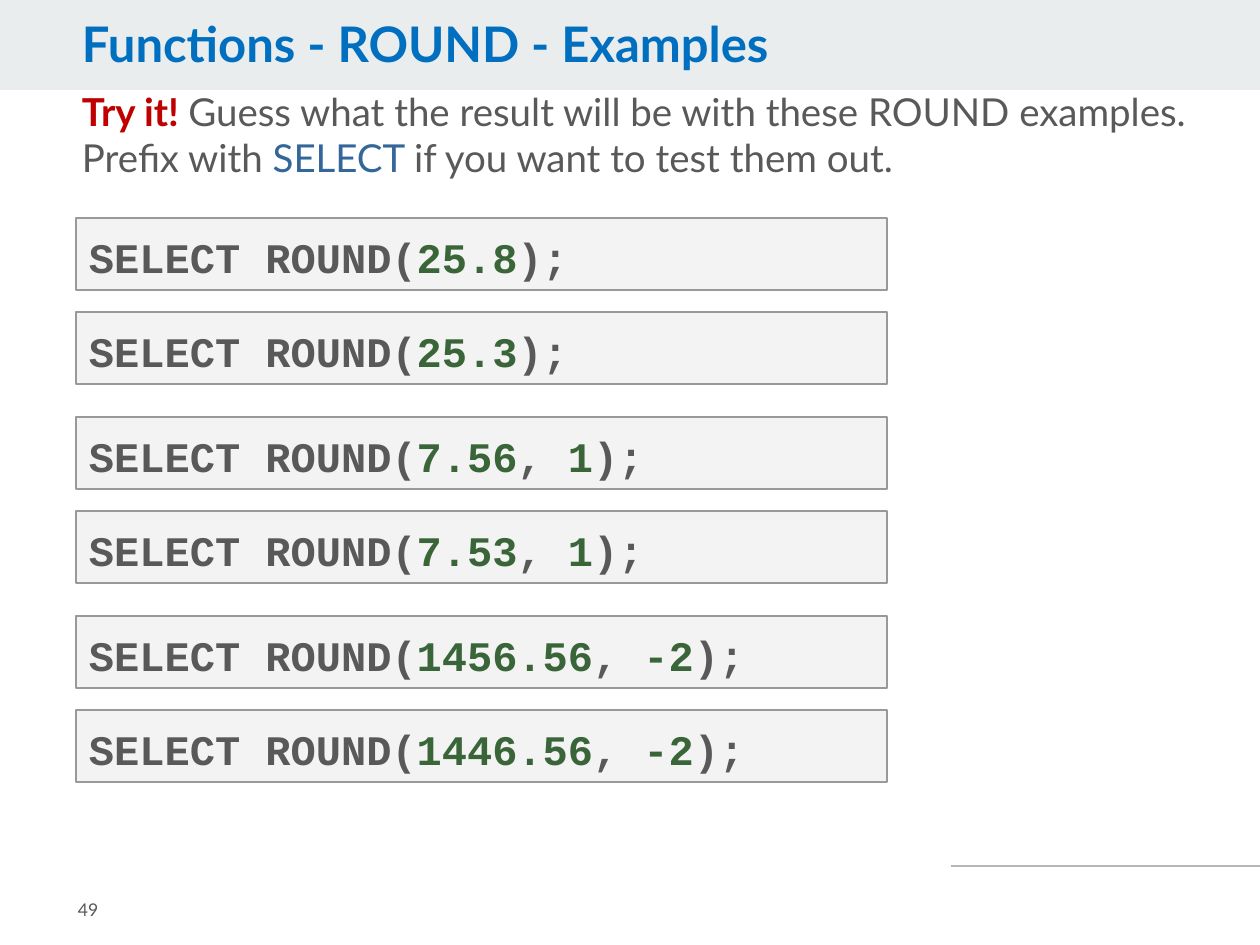
from lxml.etree import SubElement
from pptx import Presentation
from pptx.dml.color import RGBColor
from pptx.enum.shapes import MSO_CONNECTOR as Connector, MSO_SHAPE as Shape
from pptx.enum.text import MSO_ANCHOR as Anchor, MSO_AUTO_SIZE as AutoSize, PP_ALIGN as Align
from pptx.oxml.ns import qn
from pptx.util import Emu, Pt

EMU_PER_PX = 914400 / 126
GREY, GREEN = "595959", "396539"
EXAMPLES = [
    [["25.8"], ["25.3"]],
    [["7.56", "1"], ["7.53", "1"]],
    [["1456.56", "-2"], ["1446.56", "-2"]],
]


def px(length):
    """Turn a pixel length into EMU."""
    return Emu(round(length * EMU_PER_PX))


def colour(code):
    """Turn a hex string into a colour."""
    return RGBColor.from_string(code)


def place(shape, left, top, width, height):
    """Move and size a shape in pixels."""
    frame = {"left": left, "top": top, "width": width, "height": height}
    for side, length in frame.items():
        setattr(shape, side, px(length))


def write(shape, runs, font, size, inset=13, anchor=Anchor.TOP, spacing=1.0):
    """Fill a shape with one left-aligned paragraph of (text, colour, bold) runs."""
    frame = shape.text_frame
    layout = {"word_wrap": True, "auto_size": AutoSize.NONE, "vertical_anchor": anchor,
              "margin_left": px(13), "margin_right": px(13),
              "margin_top": px(inset), "margin_bottom": px(inset)}
    for name, value in layout.items():
        setattr(frame, name, value)
    paragraph = frame.paragraphs[0]
    flow = {"alignment": Align.LEFT, "line_spacing": spacing, "space_before": Pt(0)}
    for name, value in flow.items():
        setattr(paragraph, name, value)
    for text, code, bold in runs:
        run = paragraph.add_run()
        run.text = text
        style = {"name": font, "size": Pt(size), "bold": bold}
        for name, value in style.items():
            setattr(run.font, name, value)
        run.font.color.rgb = colour(code)


def remove_bullet(paragraph):
    """Take the bullet and its indent off a paragraph."""
    properties = paragraph._p.get_or_add_pPr()
    properties.set("marL", "0")
    properties.set("indent", "0")
    SubElement(properties, qn("a:buNone"))


def add_panel(slide, box, fill, outline=None):
    """Add a flat rectangle with an optional thin outline."""
    panel = slide.shapes.add_shape(Shape.RECTANGLE, *map(px, box))
    panel.shadow.inherit = False
    panel.fill.solid()
    panel.fill.fore_color.rgb = colour(fill)
    if outline:
        panel.line.color.rgb = colour(outline)
        panel.line.width = Pt(0.75)
    else:
        panel.line.fill.background()
    return panel


def add_rule(slide, start, end, y):
    """Add a thin horizontal line."""
    rule = slide.shapes.add_connector(Connector.STRAIGHT, px(start), px(y), px(end), px(y))
    rule.line.color.rgb = colour("B7B7B7")
    rule.line.width = Pt(0.75)
    SubElement(rule._element.spPr, qn("a:effectLst"))


def add_example(slide, top, arguments):
    """Add one code panel that calls ROUND with the arguments."""
    runs = [("SELECT ROUND(", GREY, True)]
    for position, argument in enumerate(arguments):
        if position:
            runs.append((", ", GREY, True))
        runs.append((argument, GREEN, True))
    runs.append((");", GREY, True))
    panel = add_panel(slide, (76, top, 811, 72), "F3F3F3", "999999")
    write(panel, runs, "Courier New", 24)


def main():
    """Build the slide and save it."""
    deck = Presentation()
    deck.slide_width, deck.slide_height = px(1260), px(945)
    slide = deck.slides.add_slide(deck.slide_layouts[1])

    add_rule(slide, 951, 1260, 866)
    band = add_panel(slide, (0, 0, 1260, 90), "E9EDEE")
    slide.shapes._spTree.insert(2, band._element)

    title, prompt = slide.placeholders
    place(title, 69, 14, 993, 69)
    write(title, [("Functions - ROUND - Examples", "006FBF", True)], "Lato", 28,
          inset=6, spacing=0.9)

    place(prompt, 69, 82, 1180, 743)
    remove_bullet(prompt.text_frame.paragraphs[0])
    write(prompt, [
        ("Try it! ", "C00000", True),
        ("Guess what the result will be with these ROUND examples. Prefix with ", GREY, False),
        ("SELECT ", "336699", False),
        ("if you want to test them out.", GREY, False),
    ], "Lato", 22, inset=6)

    page_number = slide.shapes.add_textbox(*map(px, (65, 873, 155, 72)))
    write(page_number, [("49", GREY, False)], "Lato", 10, anchor=Anchor.MIDDLE)

    for pair, examples in enumerate(EXAMPLES):
        for row, arguments in enumerate(examples):
            add_example(slide, 218 + 199 * pair + 94 * row, arguments)

    deck.save("out.pptx")


if __name__ == "__main__":
    main()
